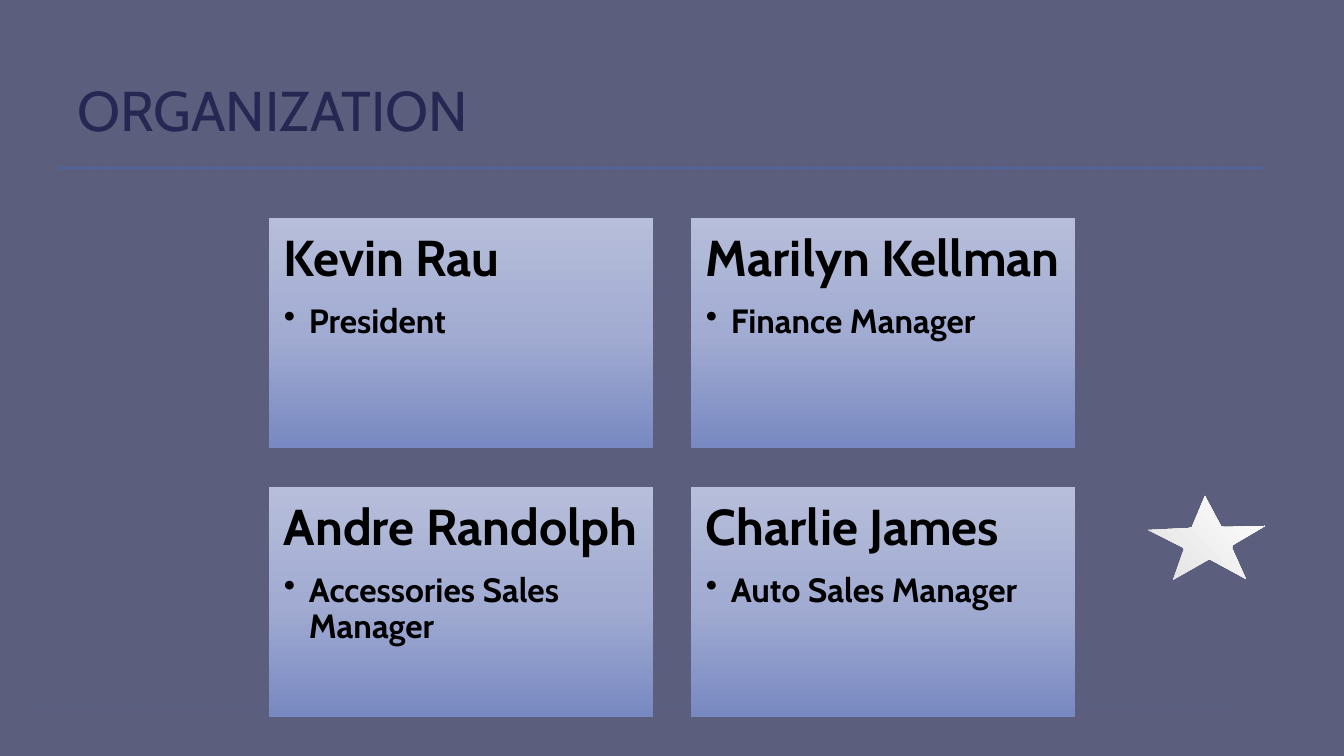
from copy import deepcopy
from dataclasses import dataclass

from lxml import etree
from pptx import Presentation
from pptx import util as u
from pptx.dml.color import RGBColor
from pptx.enum import dml, shapes, text
from pptx.oxml.ns import qn

SCALE = 12192000 / 1344  # EMU per px
FONT = "Cabin"
BACK = RGBColor(0x5B, 0x5E, 0x7D)
NAVY = RGBColor(0x24, 0x28, 0x52)
BLUE = RGBColor(0x4A, 0x66, 0xAC)
FAINT = RGBColor(0x58, 0x60, 0x82)
BLACK = RGBColor(0, 0, 0)
SHADES = [RGBColor(0xB7, 0xBE, 0xDB), RGBColor(0xA2, 0xAC, 0xD2),
          RGBColor(0x78, 0x89, 0xC2)]
SILVER = [RGBColor(0xE2, 0xE2, 0xE2), RGBColor(0xFF, 0xFF, 0xFF)]

# Card grid
LEFT, TOP, WIDE, HIGH = 269, 218, 384, 230
STEP_X, STEP_Y = 422, 269
INSET, INDENT = 15, 25

STAR = [(1233, 545), (1265, 526), (1224, 527), (1221, 526), (1205, 496),
        (1192, 527), (1189, 528), (1148, 530), (1182, 547), (1184, 549),
        (1173, 580), (1208, 560), (1211, 560), (1246, 579), (1232, 548)]


@dataclass
class Person:
    name: str
    role: str


@dataclass
class Rule:
    x: int
    y: int
    color: RGBColor


PEOPLE = [Person("Kevin Rau", "President"),
          Person("Marilyn Kellman", "Finance Manager"),
          Person("Andre Randolph", "Accessories Sales Manager"),
          Person("Charlie James", "Auto Sales Manager")]
RULES = [Rule(59, 168, BLUE), Rule(33, 706, FAINT)]
RULE_WIDE = 1206


def px(n: int) -> int:
    return u.Emu(round(n * SCALE))


def shade(shape, colors: list[RGBColor], angle: int) -> None:
    """Fill with evenly spaced gradient stops, without outline or shadow."""
    shape.shadow.inherit = False
    shape.line.fill.background()
    fill = shape.fill
    fill.gradient()
    fill.gradient_angle = angle
    stops = shape._element.spPr.find(qn("a:gradFill")).find(qn("a:gsLst"))
    for _ in colors[2:]:
        stops.append(deepcopy(stops[0]))
    for i, (stop, color) in enumerate(zip(fill.gradient_stops, colors)):
        stop.position = i / (len(colors) - 1)
        stop.color.rgb = color


def draw_rule(slide, rule: Rule) -> None:
    line = slide.shapes.add_connector(
        shapes.MSO_CONNECTOR.STRAIGHT, px(rule.x), px(rule.y),
        px(rule.x + RULE_WIDE), px(rule.y))
    line.line.color.rgb = rule.color
    line.line.width = u.Pt(1)
    line.line.dash_style = dml.MSO_LINE.SQUARE_DOT
    etree.SubElement(line._element.spPr, qn("a:effectLst"))


def draw_star(slide) -> None:
    pen = slide.shapes.build_freeform(*STAR[0], scale=SCALE)
    pen.add_line_segments(STAR[1:], close=True)
    shade(pen.convert_to_shape(), SILVER, 45)


def draw_card(slide, person: Person, x: int, y: int) -> None:
    card = slide.shapes.add_shape(shapes.MSO_SHAPE.RECTANGLE,
                                  px(x), px(y), px(WIDE), px(HIGH))
    shade(card, SHADES, 270)
    frame = card.text_frame
    frame.word_wrap = True
    frame.vertical_anchor = text.MSO_ANCHOR.TOP
    frame.margin_left = frame.margin_right = px(INSET)
    frame.margin_top = frame.margin_bottom = px(INSET)
    name, role = frame.paragraphs[0], frame.add_paragraph()
    name.space_after = u.Pt(12)

    # Hanging bullet
    props = role._p.get_or_add_pPr()
    props.set("marL", str(px(INDENT)))
    props.set("indent", str(-px(INDENT)))
    etree.SubElement(props, qn("a:buChar")).set("char", "•")

    for para, words, size in ((name, person.name, 36),
                              (role, person.role, 24)):
        para.add_run().text = words
        para.alignment = text.PP_ALIGN.LEFT
        para.line_spacing = 0.9
        font = para.font
        font.name, font.size, font.bold = FONT, u.Pt(size), True
        font.color.rgb = BLACK


def draw_title(slide) -> None:
    title = slide.shapes.title
    title.left, title.top = px(67), px(31)
    title.width, title.height = px(1210), px(166)
    frame = title.text_frame
    frame.text = "ORGANIZATION"
    frame.auto_size = text.MSO_AUTO_SIZE.NONE
    frame.vertical_anchor = text.MSO_ANCHOR.MIDDLE
    para = frame.paragraphs[0]
    para.alignment = text.PP_ALIGN.LEFT
    para.line_spacing = 0.85
    para.font.name, para.font.size = FONT, u.Pt(40)
    para.font.color.rgb = NAVY


def main() -> None:
    deck = Presentation()
    deck.slide_width, deck.slide_height = px(1344), px(756)
    slide = deck.slides.add_slide(deck.slide_layouts.get_by_name("Title Only"))
    slide.background.fill.solid()
    slide.background.fill.fore_color.rgb = BACK

    # Decoration
    draw_star(slide)
    for rule in RULES:
        draw_rule(slide, rule)

    # Title and people
    draw_title(slide)
    for i, person in enumerate(PEOPLE):
        row, col = divmod(i, 2)
        draw_card(slide, person, LEFT + col * STEP_X, TOP + row * STEP_Y)

    deck.save("out.pptx")


if __name__ == "__main__":
    main()
